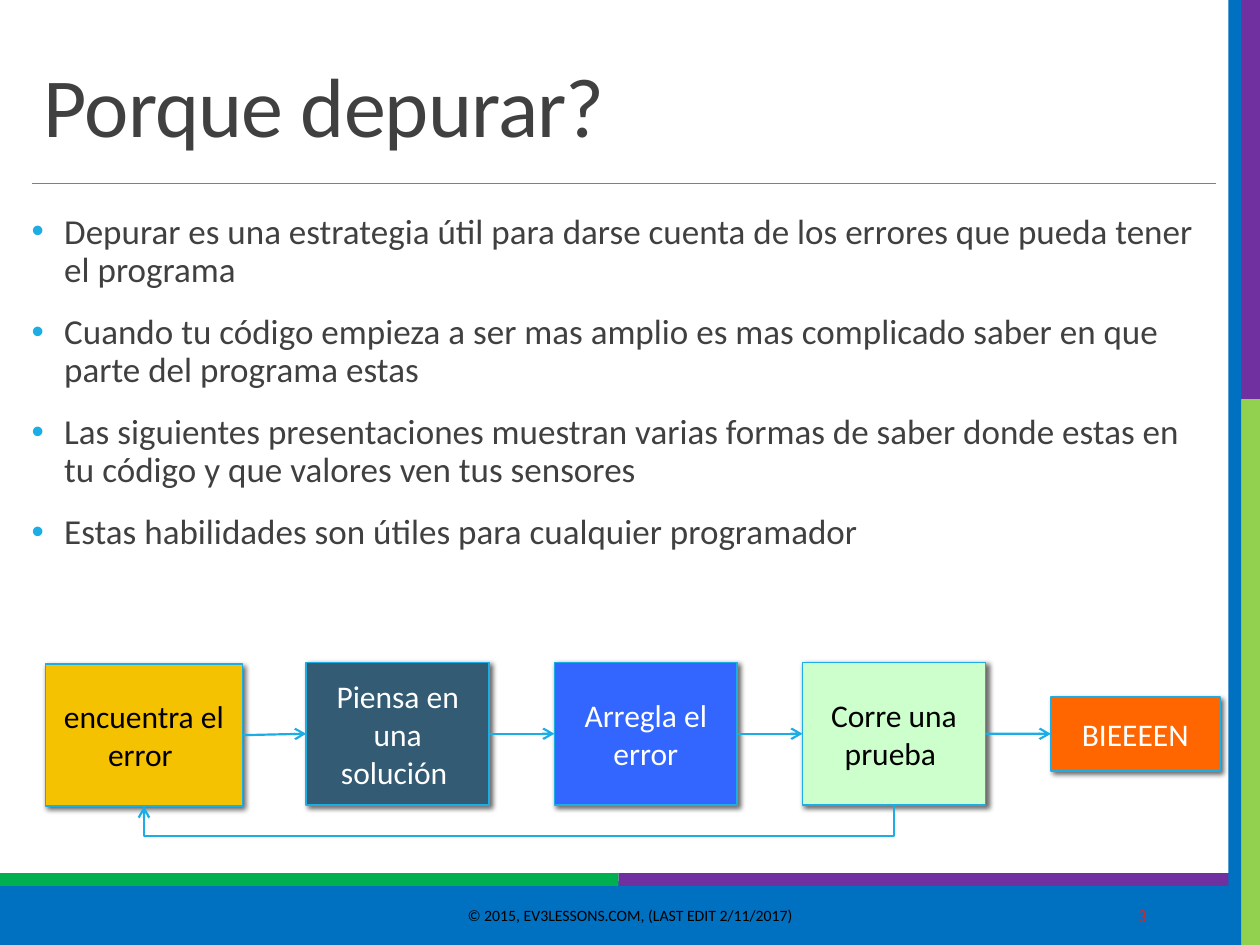
import pptx
import pptx.util
import pptx.dml.color
import pptx.enum.shapes
import pptx.enum.text
import pptx.oxml
import pptx.oxml.ns

Pt = pptx.util.Pt
SHAPE = pptx.enum.shapes.MSO_SHAPE
CONNECTOR = pptx.enum.shapes.MSO_CONNECTOR
ALIGN = pptx.enum.text.PP_ALIGN
ANCHOR = pptx.enum.text.MSO_ANCHOR

FONT = "Calibri"
BLUE, GREEN, PURPLE, LIME = "0070C0", "00B050", "7030A0", "92D050"
CYAN, GRAY, BLACK, WHITE = "1CADE4", "404040", "000000", "FFFFFF"
BULLETS = [
    "Depurar es una estrategia útil para darse cuenta de los errores que pueda tener el programa",
    "Cuando tu código empieza a ser mas amplio es mas complicado saber en que parte del programa estas",
    "Las siguientes presentaciones muestran varias formas de saber donde estas en tu código y que "
    "valores ven tus sensores",
    "Estas habilidades son útiles para cualquier programador",
]
STEPS = [
    ("encuentra el error ", "F5C201", BLACK),
    ("Piensa en una solución ", "335B74", WHITE),
    ("Arregla el error", "3366FF", WHITE),
    ("Corre una prueba ", "CCFFCC", BLACK),
]


def color(value):
    """Turn a hex string into a colour."""
    return pptx.dml.color.RGBColor.from_string(value)


def add_xml(parent, tag, content="", attributes=""):
    """Append a drawing element to a parent and return it."""
    source = f'<a:{tag} {pptx.oxml.ns.nsdecls("a")} {attributes}>{content}</a:{tag}>'
    element = pptx.oxml.parse_xml(source)
    parent.append(element)
    return element


def style(para, size, ink, align=ALIGN.LEFT):
    """Set the font and alignment of a paragraph."""
    para.alignment = align
    para.font.name = FONT
    para.font.size = Pt(size)
    para.font.color.rgb = color(ink)


def add_block(page, kind, left, top, width, height, fill, edge=None, weight=1):
    """Add a filled preset shape."""
    block = page.shapes.add_shape(kind, Pt(left), Pt(top), Pt(width), Pt(height))
    block.shadow.inherit = False
    block.fill.solid()
    block.fill.fore_color.rgb = color(fill)
    if edge:
        block.line.color.rgb = color(edge)
        block.line.width = Pt(weight)
    else:
        block.line.fill.background()
    return block


def add_text(page, left, top, width, height, anchor=ANCHOR.TOP):
    """Add a wrapping text frame."""
    frame = page.shapes.add_textbox(Pt(left), Pt(top), Pt(width), Pt(height)).text_frame
    frame.word_wrap = True
    frame.vertical_anchor = anchor
    return frame


def add_line(page, start, end, ink, weight, arrow=False, kind=CONNECTOR.STRAIGHT):
    """Add a connector between two points."""
    line = page.shapes.add_connector(kind, *(Pt(value) for value in (*start, *end)))
    line.line.color.rgb = color(ink)
    line.line.width = Pt(weight)
    if arrow:
        add_xml(line.line._get_or_add_ln(), "tailEnd", attributes='type="arrow"')
    add_xml(line._element.spPr, "effectLst")
    return line


def add_frame(page, left, top, width, height):
    """Draw the coloured bands along the bottom and right edges."""
    right, bottom = left + width, top + height
    add_block(page, SHAPE.RECTANGLE, left, bottom - 36, width, 36, BLUE, BLUE, 1.25)
    bands = [
        (left, bottom - 41, 353.5, 7.2, GREEN),
        (left + 353.5, bottom - 41, width - 353.5, 7.2, PURPLE),
        (right - 11.5, top + 228, 11.5, height - 228, LIME),
        (right - 14.4, top, 14.4, 228, PURPLE),
        (right - 18, top, 7.2, height, BLUE),
    ]
    for band in bands:
        add_block(page, SHAPE.RECTANGLE, *band)


def add_title(page, left, top, width, height):
    """Place the heading and the rule below it."""
    para = add_text(page, left, top, width, height, ANCHOR.BOTTOM).paragraphs[0]
    para.text = "Porque depurar?"
    para.line_spacing = 0.85
    style(para, 48, GRAY)
    para.runs[0].font._element.set("spc", "-50")
    rule = top + height + 13.5
    add_line(page, (left, rule), (left + width, rule), "808080", 0.5)


def add_body(page, left, top, width, height):
    """Place the bulleted list."""
    frame = add_text(page, left, top, width, height)
    frame.margin_left = frame.margin_right = 0
    for index, text in enumerate(BULLETS):
        para = frame.add_paragraph() if index else frame.paragraphs[0]
        para.text = text
        para.line_spacing = 0.9
        para.space_before = Pt(12 if index else 0)
        para.space_after = Pt(2)
        properties = para._element.get_or_add_pPr()
        properties.set("marL", str(Pt(18.7)))
        properties.set("indent", str(-Pt(18.7)))
        add_xml(properties, "buClr", f'<a:srgbClr val="{CYAN}"/>')
        add_xml(properties, "buFont", attributes='typeface="Arial"')
        add_xml(properties, "buChar", attributes='char="•"')
        style(para, 20, GRAY)


def add_footer(page, left, top, width, height):
    """Place the copyright line and the page number."""
    parts = [
        (left, 285, "© 2015, EV3LESSONS.COM, (LAST EDIT 2/11/2017)", 9, BLACK, ALIGN.CENTER),
        (left + width - 78, 78, "3", 10.5, "D1282E", ALIGN.RIGHT),
    ]
    for start, span, text, size, ink, align in parts:
        para = add_text(page, start, top, span, height, ANCHOR.MIDDLE).paragraphs[0]
        para.text = text
        style(para, size, ink, align)


def add_step(page, left, top, width, height, text, fill, ink):
    """Add one shadowed step of the process."""
    step = add_block(page, SHAPE.FLOWCHART_PROCESS, left, top, width, height, fill, CYAN)
    effects = step._element.spPr.find(pptx.oxml.ns.qn("a:effectLst"))
    add_xml(effects, "outerShdw",
            f'<a:srgbClr val="{BLACK}"><a:alpha val="60000"/></a:srgbClr>',
            f'blurRad="{Pt(3)}" dist="{Pt(2)}" dir="2700000" algn="tl" rotWithShape="0"')
    step.text_frame.word_wrap = True
    step.text_frame.vertical_anchor = ANCHOR.MIDDLE
    para = step.text_frame.paragraphs[0]
    para.text = text
    style(para, 18, ink, ALIGN.CENTER)


def add_return(page, start, end, bottom, drop):
    """Add the elbow arrow that leads back to the first step."""
    middle, half, rise = (start + end) / 2, (start - end) / 2, 0.72
    elbow = add_line(page, (middle - rise / 2, bottom - half), (middle + rise / 2, bottom + half),
                     CYAN, 1.25, True, CONNECTOR.ELBOW)
    elbow._element.spPr.find(pptx.oxml.ns.qn("a:xfrm")).set("rot", "5400000")
    guides = elbow._element.spPr.prstGeom.get_or_add_avLst()
    add_xml(guides, "gd", attributes=f'name="adj1" fmla="val {round(drop / rise * 100000)}"')


def add_process(page, left, top, width, height):
    """Place the debugging cycle with its arrows."""
    boxes = [(left, top + 0.8, 112.5, height)]
    boxes += [(left + 149 + 141.8 * index, top, 104.5, height) for index in range(3)]
    boxes.append((left + width - 96.5, top + 19.5, 96.5, 42.5))
    for box, step in zip(boxes, STEPS + [("BIEEEEN", "FF6600", WHITE)]):
        add_step(page, *box, *step)
    for before, after in zip(boxes, boxes[1:]):
        add_line(page, (before[0] + before[2], before[1] + before[3] / 2),
                 (after[0], after[1] + after[3] / 2), CYAN, 1.25, True)
    first, last = (box[0] + box[2] / 2 for box in (boxes[0], boxes[3]))
    add_return(page, last, first, top + height + 0.4, 18)


def main():
    """Build the slide and save it."""
    deck = pptx.Presentation()
    deck.slide_width, deck.slide_height = Pt(720), Pt(540)
    page = deck.slides.add_slide(deck.slide_layouts[6])
    add_frame(page, 0, 0, 720, 540)
    add_title(page, 18, 22.3, 677, 69.3)
    add_body(page, 18, 118.8, 677, 366.5)
    add_footer(page, 217.5, 508.5, 445, 28.8)
    add_process(page, 26, 378.6, 671, 81.4)
    deck.save("out.pptx")


if __name__ == "__main__":
    main()
